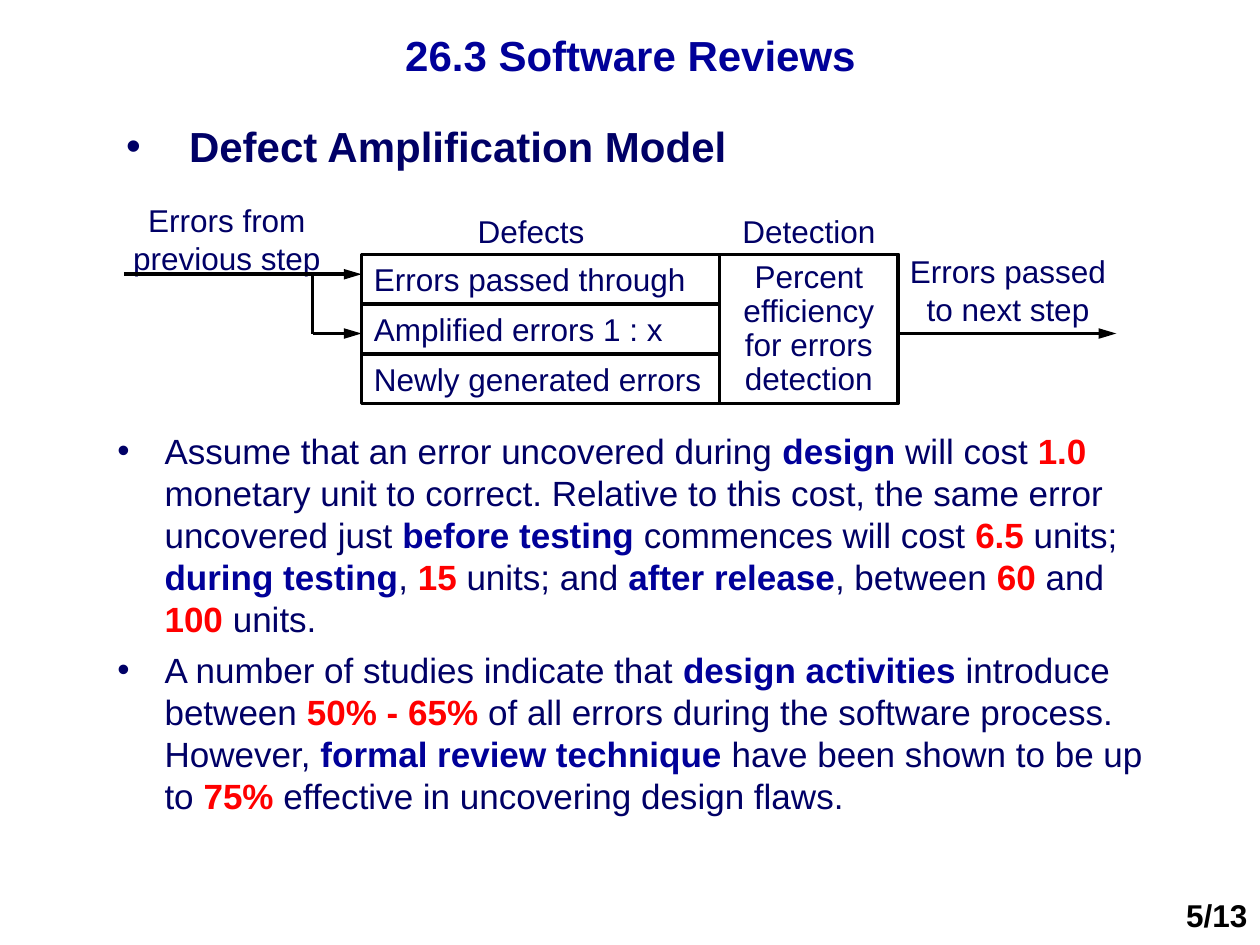
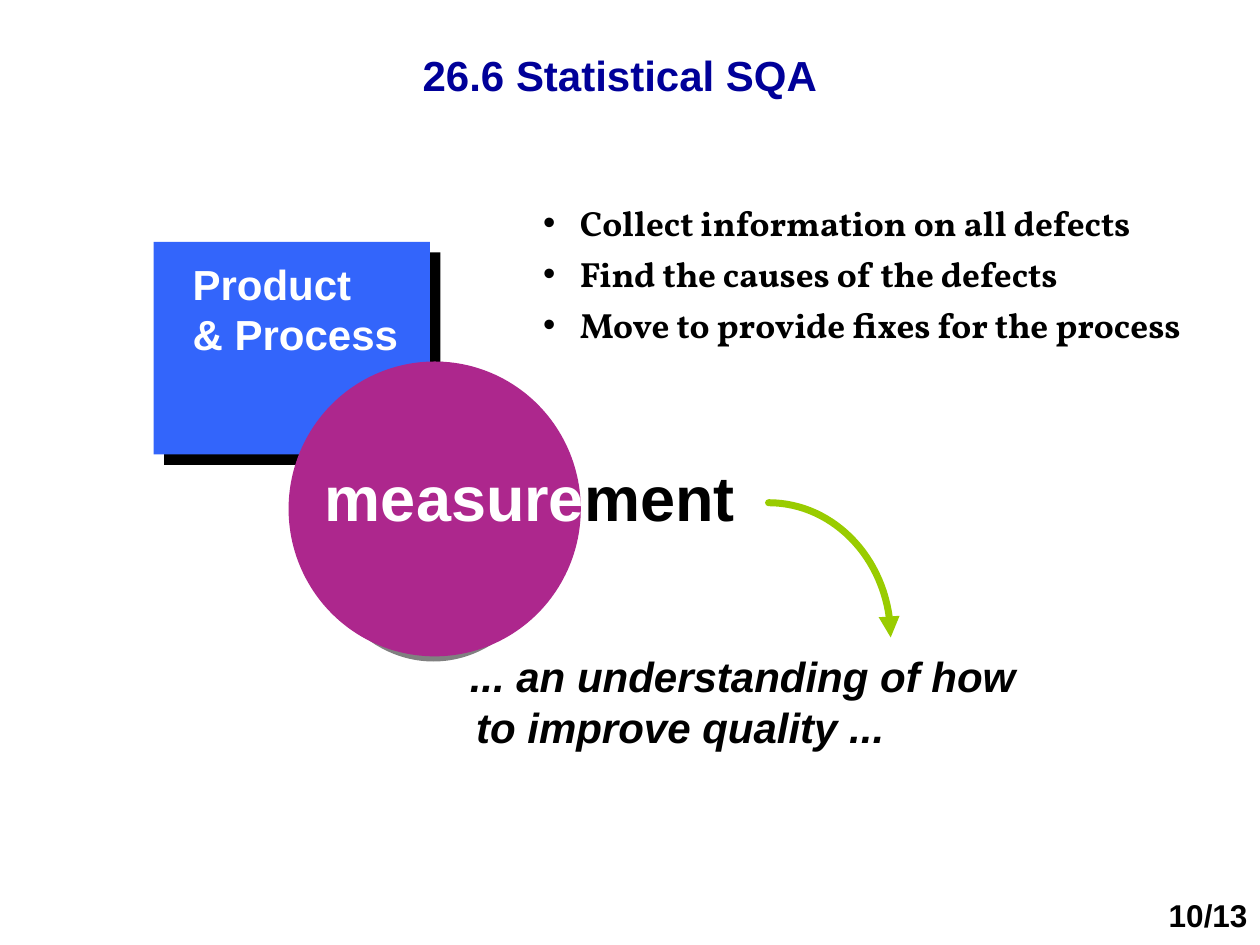
from dataclasses import dataclass
from math import cos, pi, sin
from typing import NamedTuple, Optional

from lxml import etree
from pptx import Presentation
from pptx.dml.color import RGBColor
from pptx.enum.shapes import MSO_CONNECTOR, MSO_SHAPE
from pptx.enum.text import MSO_ANCHOR, MSO_AUTO_SIZE, PP_ALIGN
from pptx.oxml.ns import qn
from pptx.util import Pt

LEFT, CENTER, RIGHT = PP_ALIGN.LEFT, PP_ALIGN.CENTER, PP_ALIGN.RIGHT
TOP, MIDDLE = MSO_ANCHOR.TOP, MSO_ANCHOR.MIDDLE
RECTANGLE, OVAL = MSO_SHAPE.RECTANGLE, MSO_SHAPE.OVAL
STRAIGHT = MSO_CONNECTOR.STRAIGHT
TITLE_AND_CONTENT, TWO_CONTENT = 1, 3
SLIDE_COUNT = 13


# Shared look
@dataclass(frozen=True)
class Theme:
    sans: str = "Arial"
    serif: str = "Vollkorn"
    navy: str = "000066"
    blue: str = "000099"
    red: str = "FF0000"
    black: str = "000000"
    white: str = "FFFFFF"
    gray: str = "808080"
    product: str = "3365FB"
    measure: str = "AD278D"
    arrow: str = "99CC00"
    heading_size: float = 24
    list_size: float = 20
    label_size: float = 18
    word_size: float = 36
    thin_line: float = 2
    thick_line: float = 4


THEME = Theme()


class Box(NamedTuple):
    left: float
    top: float
    width: float
    height: float


class Run(NamedTuple):
    text: str
    color: str
    bold: bool


@dataclass(frozen=True)
class TextStyle:
    size: float = THEME.label_size
    color: str = THEME.navy
    bold: bool = False
    italic: bool = False
    font: str = THEME.sans
    align: PP_ALIGN = LEFT
    line_spacing: float = 1.0


@dataclass(frozen=True)
class BulletStyle:
    text: TextStyle
    indent: float
    before: float = 0
    after: float = 0


@dataclass(frozen=True)
class Label:
    box: Box
    lines: tuple
    style: TextStyle


@dataclass(frozen=True)
class Line:
    start: tuple
    end: tuple
    arrow: bool = True


HEADING = TextStyle(THEME.heading_size, THEME.blue, bold=True, align=CENTER)
LABEL = TextStyle()
CENTER_LABEL = TextStyle(align=CENTER)
TIGHT_LABEL = TextStyle(align=CENTER, line_spacing=0.9)
PAGE_NUMBER = TextStyle(color=THEME.black, bold=True, align=RIGHT)
PRODUCT_LABEL = TextStyle(THEME.heading_size, THEME.white, bold=True)
CONCLUSION = TextStyle(THEME.heading_size, THEME.black, bold=True, italic=True)
WORD = TextStyle(THEME.word_size, bold=True)


def rgb(color: str) -> RGBColor:
    return RGBColor.from_string(color)


def points(values) -> list:
    return [Pt(value) for value in values]


def plain(text: str) -> Run:
    return Run(text, THEME.navy, False)


def key(text: str) -> Run:
    return Run(text, THEME.blue, True)


def figure(text: str) -> Run:
    return Run(text, THEME.red, True)


# Text
def add_bullet(paragraph, style: BulletStyle) -> None:
    properties = paragraph._p.get_or_add_pPr()
    properties.set("marL", str(Pt(style.indent)))
    properties.set("indent", str(-Pt(style.indent)))
    color = etree.SubElement(properties, qn("a:buClr"))
    etree.SubElement(color, qn("a:srgbClr"), val=style.text.color)
    etree.SubElement(properties, qn("a:buFont"), typeface=THEME.sans)
    etree.SubElement(properties, qn("a:buChar"), char="•")


def write(frame, lines, style: TextStyle, bullet: Optional[BulletStyle] = None,
          anchor: MSO_ANCHOR = TOP, wrap: bool = False) -> None:
    """Fill a text frame; a line is a string or a sequence of runs."""
    frame.auto_size = MSO_AUTO_SIZE.NONE
    frame.word_wrap = wrap
    frame.vertical_anchor = anchor
    for index, line in enumerate(lines):
        paragraph = frame.add_paragraph() if index else frame.paragraphs[0]
        if bullet:
            add_bullet(paragraph, bullet)
        paragraph.alignment = style.align
        paragraph.line_spacing = style.line_spacing
        paragraph.space_before = Pt(bullet.before if bullet and index else 0)
        paragraph.space_after = Pt(bullet.after if bullet else 0)
        font = paragraph.font
        font.name, font.size = style.font, Pt(style.size)
        font.italic = style.italic
        if isinstance(line, str):
            font.bold, font.color.rgb = style.bold, rgb(style.color)
            paragraph.add_run().text = line
            continue
        for part in line:
            run = paragraph.add_run()
            run.text = part.text
            run.font.bold, run.font.color.rgb = part.bold, rgb(part.color)


def place(shape, box: Box) -> None:
    shape.left, shape.top, shape.width, shape.height = points(box)


def add_label(slide, label: Label, wrap: bool = False) -> None:
    shape = slide.shapes.add_textbox(*points(label.box))
    write(shape.text_frame, label.lines, label.style, wrap=wrap)


def fill_list(placeholder, box: Box, lines, bullet: BulletStyle) -> None:
    place(placeholder, box)
    write(placeholder.text_frame, lines, bullet.text, bullet, wrap=True)


def start_slide(presentation, layout: int, title: str, box: Box, page: int):
    slide = presentation.slides.add_slide(presentation.slide_layouts[layout])
    place(slide.shapes.title, box)
    write(slide.shapes.title.text_frame, [title], HEADING, anchor=MIDDLE, wrap=True)
    number = Label(Box(655.2, 508.3, 64.8, 28.8), (f"{page}/{SLIDE_COUNT}",), PAGE_NUMBER)
    add_label(slide, number, wrap=True)
    return slide


# Shapes and lines
def add_filled(slide, kind: MSO_SHAPE, box: Box, color: str):
    shape = slide.shapes.add_shape(kind, *points(box))
    shape.shadow.inherit = False
    shape.fill.solid()
    shape.fill.fore_color.rgb = rgb(color)
    shape.line.fill.background()
    return shape


def add_cell(slide, cell: Label) -> None:
    shape = slide.shapes.add_shape(RECTANGLE, *points(cell.box))
    shape.shadow.inherit = False
    shape.fill.background()
    set_line(shape, THEME.black, THEME.thin_line)
    write(shape.text_frame, cell.lines, cell.style, anchor=MIDDLE)


def set_line(shape, color: str, width: float) -> None:
    shape.line.color.rgb = rgb(color)
    shape.line.width = Pt(width)


def add_arrowhead(shape, length: str) -> None:
    etree.SubElement(shape.line._get_or_add_ln(), qn("a:tailEnd"),
                     type="triangle", w="med", len=length)


def add_line(slide, line: Line) -> None:
    connector = slide.shapes.add_connector(STRAIGHT, *points(line.start + line.end))
    set_line(connector, THEME.black, THEME.thin_line)
    etree.SubElement(connector._element.spPr, qn("a:effectLst"))
    if line.arrow:
        add_arrowhead(connector, "lg")


def add_hard_shadow(shape, color: str, distance: float) -> None:
    effects = shape._element.spPr.find(qn("a:effectLst"))
    shadow = etree.SubElement(effects, qn("a:outerShdw"), dist=str(Pt(distance)),
                              dir="2700000", algn="ctr", rotWithShape="0")
    etree.SubElement(shadow, qn("a:srgbClr"), val=color)


def add_quarter_arc(slide, box: Box, steps: int = 32) -> None:
    angles = [pi / 2 * step / steps for step in range(steps + 1)]
    curve = [(Pt(box.left + box.width * sin(angle)),
              Pt(box.top + box.height * (1 - cos(angle)))) for angle in angles]
    builder = slide.shapes.build_freeform(*curve[0])
    builder.add_line_segments(curve[1:], close=False)
    arc = builder.convert_to_shape()
    arc.shadow.inherit = False
    arc.fill.background()
    set_line(arc, THEME.arrow, THEME.thick_line)
    arc.line._get_or_add_ln().set("cap", "rnd")
    add_arrowhead(arc, "med")


# Slide: defect amplification model
def build_reviews(presentation) -> None:
    slide = start_slide(presentation, TWO_CONTENT, "26.3 Software Reviews",
                        Box(94.3, 9.4, 532, 44), 5)
    topic = BulletStyle(TextStyle(THEME.heading_size, THEME.navy, bold=True), 36)
    fill_list(slide.placeholders[1], Box(64.8, 65.5, 481.7, 56.9),
              ["Defect Amplification Model"], topic)

    costs = [
        [plain("Assume that an error uncovered during "), key("design"),
         plain(" will cost "), figure("1.0"),
         plain(" monetary unit to correct. Relative to this cost, the same error uncovered just "),
         key("before testing"), plain(" commences will cost "), figure("6.5"),
         plain(" units; "), key("during testing"), plain(", "), figure("15"),
         plain(" units; and "), key("after release"), plain(", between "),
         figure("60"), plain(" and "), figure("100"), plain(" units.")],
        [plain("A number of studies indicate that "), key("design activities"),
         plain(" introduce between "), figure("50% - 65%"),
         plain(" of all errors during the software process. However, "),
         key("formal review technique"), plain(" have been shown to be up to "),
         figure("75%"), plain(" effective in uncovering design flaws.")],
    ]
    cost_style = BulletStyle(TextStyle(THEME.list_size), 27, before=5)
    fill_list(slide.placeholders[2], Box(59.8, 241.9, 601.2, 249.8), costs, cost_style)

    # Defect rows and the detection cell
    left, top, width, row_height = 206.6, 145.4, 204.5, 28.4
    defects = ("Errors passed through", "Amplified errors 1 : x", "Newly generated errors")
    for row, defect in enumerate(defects):
        box = Box(left, top + row * row_height, width, row_height)
        add_cell(slide, Label(box, (defect,), LABEL))
    detection = Box(left + width, top, 102.2, len(defects) * row_height)
    add_cell(slide, Label(detection, ("Percent", "efficiency", "for errors", "detection"),
                          TIGHT_LABEL))

    for label in (
        Label(Box(41.8, 111.6, 175.7, 50.4), ("Errors from", "previous step"), CENTER_LABEL),
        Label(Box(486, 140.4, 180, 50.4), ("Errors passed", "to next step"), CENTER_LABEL),
        Label(Box(241.2, 117.4, 124.6, 28.8), ("Defects",), CENTER_LABEL),
        Label(Box(detection.left, 117.4, detection.width, 28.8), ("Detection",), CENTER_LABEL),
    ):
        add_label(slide, label)

    # Flow into and out of the model
    upper, lower, branch = 156.7, 190.6, 178.6
    for line in (
        Line((70.8, upper), (left, upper)),
        Line((branch, lower), (left, lower)),
        Line((detection.left + detection.width, lower), (637.9, lower)),
        Line((branch, lower), (branch, upper), arrow=False),
    ):
        add_line(slide, line)


# Slide: from measurement to understanding
def build_statistics(presentation) -> None:
    slide = start_slide(presentation, TITLE_AND_CONTENT, "26.6 Statistical SQA",
                        Box(121.7, 25.9, 465.1, 33.1), 10)
    steps = BulletStyle(TextStyle(THEME.list_size, THEME.black, bold=True, font=THEME.serif),
                        21, after=5)
    fill_list(slide.placeholders[1], Box(303.1, 111.6, 380.2, 89.3),
              ["Collect information on all defects", "Find the causes of the defects",
               "Move to provide fixes for the process"], steps)

    add_filled(slide, OVAL, Box(175.7, 206.6, 144, 171.4), THEME.gray)
    product = add_filled(slide, RECTANGLE, Box(87.8, 138.2, 157.9, 121.5), THEME.product)
    add_hard_shadow(product, THEME.black, 8.5)
    add_label(slide, Label(Box(103, 144, 131.8, 64.8), ("Product", "& Process"), PRODUCT_LABEL))
    add_filled(slide, OVAL, Box(164.9, 206.6, 167, 168.5), THEME.measure)

    word = (Run("measure", THEME.white, True), Run("ment", THEME.black, True))
    for label in (
        Label(Box(178.6, 258.5, 248.4, 50.4), (word,), WORD),
        Label(Box(261.4, 367.9, 333.4, 36), ("... an understanding of how",), CONCLUSION),
        Label(Box(265, 397.4, 247.7, 36), ("to improve quality ...",), CONCLUSION),
    ):
        add_label(slide, label)
    add_quarter_arc(slide, Box(439.2, 287.3, 69.8, 77))


def main() -> None:
    presentation = Presentation()
    presentation.slide_width, presentation.slide_height = Pt(720), Pt(540)
    build_reviews(presentation)
    build_statistics(presentation)
    presentation.save("out.pptx")


if __name__ == "__main__":
    main()
